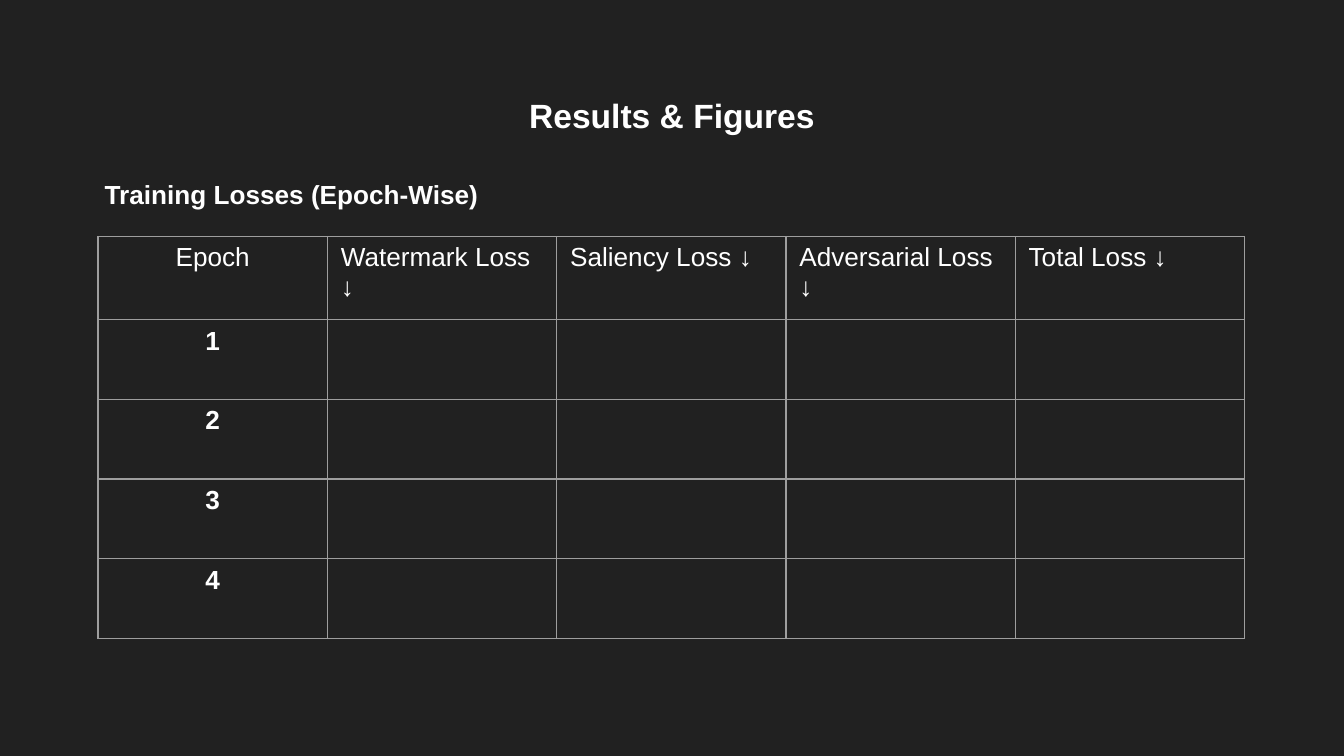
from lxml.etree import SubElement
from pptx import Presentation
from pptx.dml.color import RGBColor
from pptx.enum.text import MSO_ANCHOR as Anchor, MSO_AUTO_SIZE as Fit, PP_ALIGN as Align
from pptx.oxml.ns import qn
from pptx.util import Inches, Pt

HEADS = ["Epoch", "Watermark Loss ↓", "Saliency Loss ↓", "Adversarial Loss ↓", "Total Loss ↓"]
EPOCHS = ["1", "2", "3", "4"]
DARK, WHITE, GREY = "212121", "FFFFFF", "9E9E9E"
WIDE, TALL, TOP = 8.53, 2.99, 0.62


def paint(fill, color):
    """Fill with one solid colour."""
    fill.solid()
    fill.fore_color.rgb = RGBColor.from_string(color)


def write(frame, text, size=14, bold=False, align=Align.LEFT):
    """Put one line of styled text into a frame."""
    frame.text = text
    line = frame.paragraphs[0]
    line.alignment = align
    line.font.name, line.font.size, line.font.bold = "Arial", Pt(size), bold
    paint(line.font.fill, WHITE)
    return line


def label(shape, box, text, **style):
    """Place a text shape and write into it."""
    shape.left, shape.top, shape.width, shape.height = map(Inches, box)
    frame = shape.text_frame
    frame.word_wrap, frame.auto_size = True, Fit.NONE
    frame.vertical_anchor = Anchor.TOP
    frame.margin_left = frame.margin_right = Inches(0.1)
    frame.margin_top = frame.margin_bottom = Inches(0.1)
    return write(frame, text, **style)


def rule(cell):
    """Draw the four borders of a cell and clear its fill."""
    cell.fill.background()
    props = cell._tc.get_or_add_tcPr()
    for spot, side in enumerate(("lnL", "lnR", "lnT", "lnB")):
        edge = SubElement(props, qn(f"a:{side}"), w=str(Pt(0.75)))
        fill = SubElement(edge, qn("a:solidFill"))
        SubElement(fill, qn("a:srgbClr"), val=GREY)
        props.insert(spot, edge)


def grid(slide):
    """Add the table of losses by epoch."""
    rows, cols = len(EPOCHS) + 1, len(HEADS)
    box = map(Inches, (0.73, 1.76, WIDE, TALL))
    table = slide.shapes.add_table(rows, cols, *box).table
    table.first_row = table.horz_banding = False
    for row in table.rows:
        row.height = Inches((TALL - TOP) / len(EPOCHS))
    table.rows[0].height = Inches(TOP)
    for cell in table.iter_cells():
        rule(cell)
    for col, head in enumerate(HEADS):
        align = Align.LEFT if col else Align.CENTER
        write(table.cell(0, col).text_frame, head, align=align)
    for row, epoch in enumerate(EPOCHS, 1):
        write(table.cell(row, 0).text_frame, epoch, bold=True, align=Align.CENTER)


def main():
    """Build and save the slide."""
    deck = Presentation()
    deck.slide_width, deck.slide_height = Inches(10), Inches(10 * 9 / 16)
    slide = deck.slides.add_slide(deck.slide_layouts[5])
    paint(slide.background.fill, DARK)
    label(slide.shapes.title, (0, 0.61, 10, 0.5), "Results & Figures",
          size=18, bold=True, align=Align.CENTER)
    note = slide.shapes.add_textbox(0, 0, 0, 0)
    line = label(note, (0.68, 1.19, 8.58, 1.11), "Training Losses (Epoch-Wise)", bold=True)
    line.line_spacing, line.space_before = 1.15, Pt(12)
    grid(slide)
    deck.save("out.pptx")


if __name__ == "__main__":
    main()
